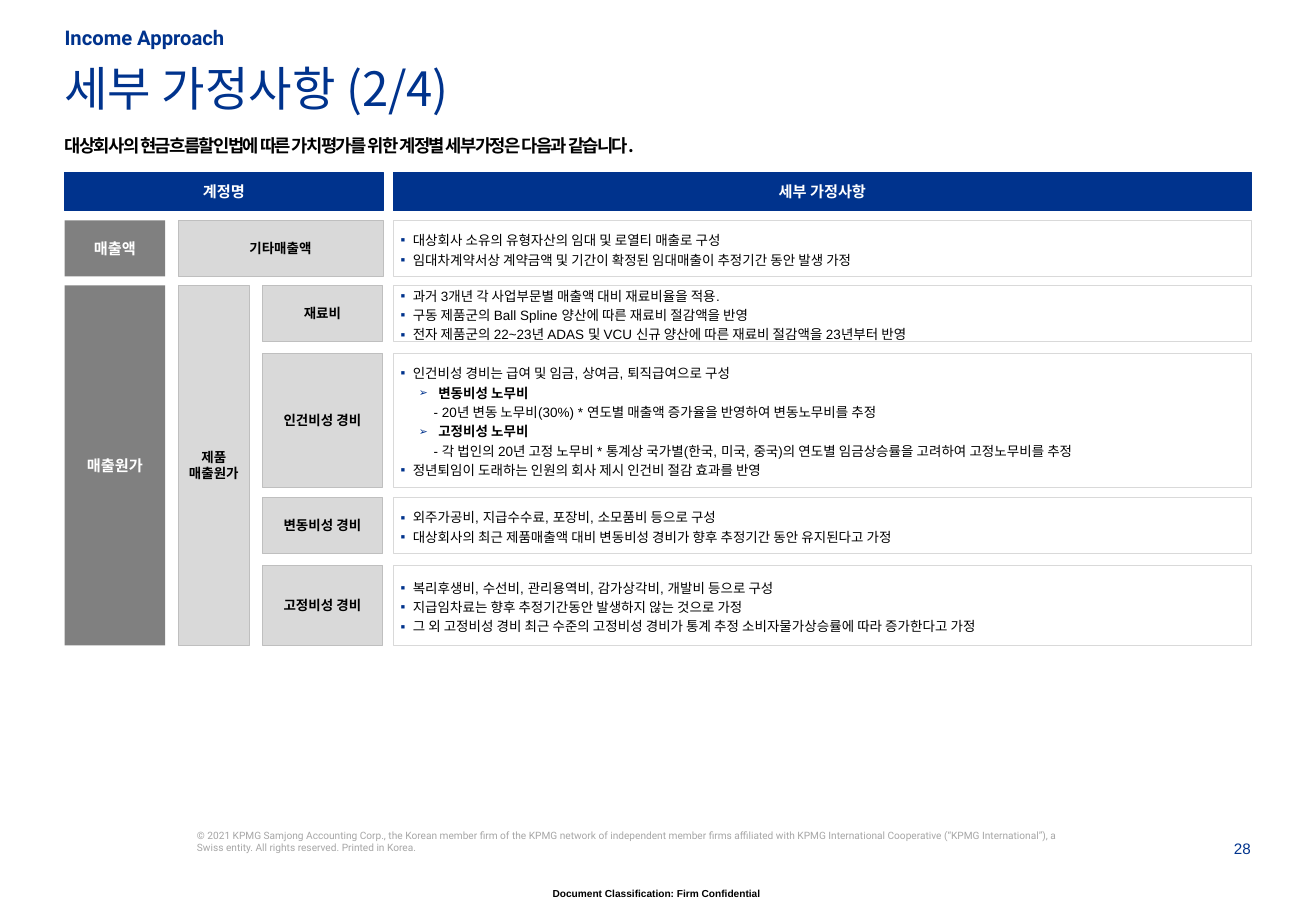
from lxml import etree
from pptx import Presentation
from pptx.dml.color import RGBColor
from pptx.enum.shapes import MSO_SHAPE
from pptx.enum.text import MSO_ANCHOR, PP_ALIGN
from pptx.oxml.ns import qn
from pptx.util import Pt

NAVY = RGBColor(0x00, 0x33, 0x8D)
BLACK = RGBColor(0x00, 0x00, 0x00)
WHITE = RGBColor(0xFF, 0xFF, 0xFF)
DARK_GRAY = RGBColor(0x80, 0x80, 0x80)
FOOTER_GRAY = RGBColor(0xA6, 0xA6, 0xA6)
EDGE_GRAY = RGBColor(0xBF, 0xBF, 0xBF)
LIGHT_GRAY = RGBColor(0xD9, 0xD9, 0xD9)
RECTANGLE = MSO_SHAPE.RECTANGLE
TOP, MIDDLE, BOTTOM = MSO_ANCHOR.TOP, MSO_ANCHOR.MIDDLE, MSO_ANCHOR.BOTTOM
LEFT, CENTER, RIGHT = PP_ALIGN.LEFT, PP_ALIGN.CENTER, PP_ALIGN.RIGHT
KOREAN = "Noto Sans CJK KR"

# Paragraph levels: left indent, first-line indent, bullet, bullet size %, bold
LEVELS = {
    "plain": (0, 0, None, 100, None),
    "point": (7.2, -7.2, "▪", 100, False),
    "topic": (22.3, -11.5, "➢", 80, True),
    "detail": (19.6, 0, None, 100, False),
}


def write(shape, paragraphs, font, align, anchor, margins, spacing=None, tracking=None):
    frame = shape.text_frame
    frame.word_wrap = True
    frame.vertical_anchor = anchor
    for side, margin in zip(("left", "top", "right", "bottom"), margins):
        setattr(frame, "margin_" + side, Pt(margin))
    for index, (level, text) in enumerate(paragraphs):
        paragraph = frame.add_paragraph() if index else frame.paragraphs[0]
        indent, first_line, bullet, bullet_size, bold = LEVELS[level]
        properties = paragraph._p.get_or_add_pPr()
        properties.set("marL", str(Pt(indent)))
        properties.set("indent", str(Pt(first_line)))
        if bullet:
            color = etree.SubElement(properties, qn("a:buClr"))
            etree.SubElement(color, qn("a:srgbClr"), val=str(NAVY))
            etree.SubElement(properties, qn("a:buSzPct"), val=str(bullet_size * 1000))
            etree.SubElement(properties, qn("a:buFont"), typeface="Arial")
            etree.SubElement(properties, qn("a:buChar"), char=bullet)
        paragraph.alignment = align
        if spacing:
            paragraph.line_spacing = spacing
        run = paragraph.add_run()
        run.text = text
        name, size, font_color, default_bold = font
        values = {"name": name, "size": Pt(size), "bold": default_bold if bold is None else bold}
        for key, value in values.items():
            setattr(run.font, key, value)
        run.font.color.rgb = font_color
        run_properties = run._r.get_or_add_rPr()
        etree.SubElement(run_properties, qn("a:ea"), typeface=KOREAN)
        if tracking:
            run_properties.set("spc", str(tracking))


def add_box(left, top, right, bottom, fill, edge):
    box = slide.shapes.add_shape(RECTANGLE, Pt(left), Pt(top), Pt(right - left), Pt(bottom - top))
    box.shadow.inherit = False
    box.fill.solid()
    box.fill.fore_color.rgb = fill
    if edge is None:
        box.line.fill.background()
    else:
        box.line.color.rgb = edge
        box.line.width = Pt(0.5)
    return box


deck = Presentation()
deck.slide_width, deck.slide_height = Pt(780), Pt(540)
slide = deck.slides.add_slide(deck.slide_layouts[6])

# Headings and footer: place, text, font, alignment, anchor, tracking
COPYRIGHT = (
    "© 2021 KPMG Samjong Accounting Corp., the Korean member firm of the KPMG network of "
    "independent member firms affiliated with KPMG International Cooperative (“KPMG "
    "International”), a Swiss entity. All rights reserved. Printed in Korea."
)
SUMMARY = "대상회사의 현금흐름할인법에 따른 가치평가를 위한 계정별 세부가정은 다음과 같습니다."
captions = [
    ((38.3, 16, 343, 13.5), "Income Approach", ("Roboto", 12, NAVY, True), LEFT, BOTTOM, None),
    ((38.3, 35.3, 703, 57), "세부 가정사항 (2/4)", (KOREAN, 28, NAVY, False), LEFT, TOP, None),
    ((38.3, 79.9, 703, 32), SUMMARY, (KOREAN, 10.5, BLACK, True), LEFT, TOP, -90),
    ((116.8, 491.8, 518.4, 20), COPYRIGHT, ("Roboto", 6, FOOTER_GRAY, False), LEFT, TOP, None),
    ((710.4, 497.8, 31, 11.5), "28", ("Arial", 9, NAVY, False), RIGHT, TOP, None),
    ((307.4, 526.2, 163.4, 9.4), "Document Classification: Firm Confidential",
     ("Arial", 6, BLACK, True), CENTER, TOP, None),
]
for place, text, font, align, anchor, tracking in captions:
    caption = slide.shapes.add_textbox(*[Pt(length) for length in place])
    write(caption, [("plain", text)], font, align, anchor, (0, 0, 0, 0), tracking=tracking)

# Column edges and row edges of the assumption grid
GROUP = (38.3, 98)
SUBGROUP = (105.6, 148)
ACCOUNT = (155.4, 227)
DETAIL = (233.2, 741.5)
HEADER = (102, 125)
REVENUE = (130.6, 163.8)
MATERIAL = (169.2, 202.4)
LABOR = (209.3, 288.7)
VARIABLE = (294.8, 328.2)
FIXED = (335.2, 382.5)
COST = (MATERIAL[0], FIXED[1])

# Header, group and account labels
STYLES = {
    "header": (NAVY, NAVY, ("Arial", 9, WHITE, True), 4.3),
    "group": (DARK_GRAY, None, ("Arial", 9, WHITE, True), 4.3),
    "account": (LIGHT_GRAY, EDGE_GRAY, ("Arial", 8, BLACK, True), 2.9),
}
labels = [
    ("header", (GROUP[0], ACCOUNT[1]), HEADER, ["계정명"]),
    ("header", DETAIL, HEADER, ["세부 가정사항"]),
    ("group", GROUP, REVENUE, ["매출액"]),
    ("group", GROUP, COST, ["매출원가"]),
    ("account", (SUBGROUP[0], ACCOUNT[1]), REVENUE, ["기타매출액"]),
    ("account", SUBGROUP, COST, ["제품", "매출원가"]),
    ("account", ACCOUNT, MATERIAL, ["재료비"]),
    ("account", ACCOUNT, LABOR, ["인건비성 경비"]),
    ("account", ACCOUNT, VARIABLE, ["변동비성 경비"]),
    ("account", ACCOUNT, FIXED, ["고정비성 경비"]),
]
for style, (left, right), (top, bottom), lines in labels:
    fill, edge, font, margin = STYLES[style]
    label = add_box(left, top, right, bottom, fill, edge)
    write(label, [("plain", line) for line in lines], font, CENTER, MIDDLE, [margin] * 4)

# Detailed assumptions
assumptions = [
    (REVENUE, [
        ("point", "대상회사 소유의 유형자산의 임대 및 로열티 매출로 구성"),
        ("point", "임대차계약서상 계약금액 및 기간이 확정된 임대매출이 추정기간 동안 발생 가정"),
    ]),
    (MATERIAL, [
        ("point", "과거 3개년 각 사업부문별 매출액 대비 재료비율을 적용."),
        ("point", "구동 제품군의 Ball Spline 양산에 따른 재료비 절감액을 반영"),
        ("point", "전자 제품군의 22~23년 ADAS 및 VCU 신규 양산에 따른 재료비 절감액을 23년부터 반영"),
    ]),
    (LABOR, [
        ("point", "인건비성 경비는 급여 및 임금, 상여금, 퇴직급여으로 구성"),
        ("topic", "변동비성 노무비"),
        ("detail", "- 20년 변동 노무비(30%) * 연도별 매출액 증가율을 반영하여 변동노무비를 추정"),
        ("topic", "고정비성 노무비"),
        ("detail", "- 각 법인의 20년 고정 노무비 * 통계상 국가별(한국, 미국, 중국)의 연도별 "
                   "임금상승률을 고려하여 고정노무비를 추정"),
        ("point", "정년퇴임이 도래하는 인원의 회사 제시 인건비 절감 효과를 반영"),
    ]),
    (VARIABLE, [
        ("point", "외주가공비, 지급수수료, 포장비, 소모품비 등으로 구성"),
        ("point", "대상회사의 최근 제품매출액 대비 변동비성 경비가 향후 추정기간 동안 유지된다고 가정"),
    ]),
    (FIXED, [
        ("point", "복리후생비, 수선비, 관리용역비, 감가상각비, 개발비 등으로 구성"),
        ("point", "지급임차료는 향후 추정기간동안 발생하지 않는 것으로 가정"),
        ("point", "그 외 고정비성 경비 최근 수준의 고정비성 경비가 통계 추정 소비자물가상승률에 "
                  "따라 증가한다고 가정"),
    ]),
]
for (top, bottom), paragraphs in assumptions:
    detail = add_box(DETAIL[0], top, DETAIL[1], bottom, WHITE, LIGHT_GRAY)
    write(detail, paragraphs, ("Arial", 8, BLACK, False), LEFT, MIDDLE,
          (4.3, 7.2, 5.8, 7.2), spacing=1.2)

deck.save("out.pptx")
